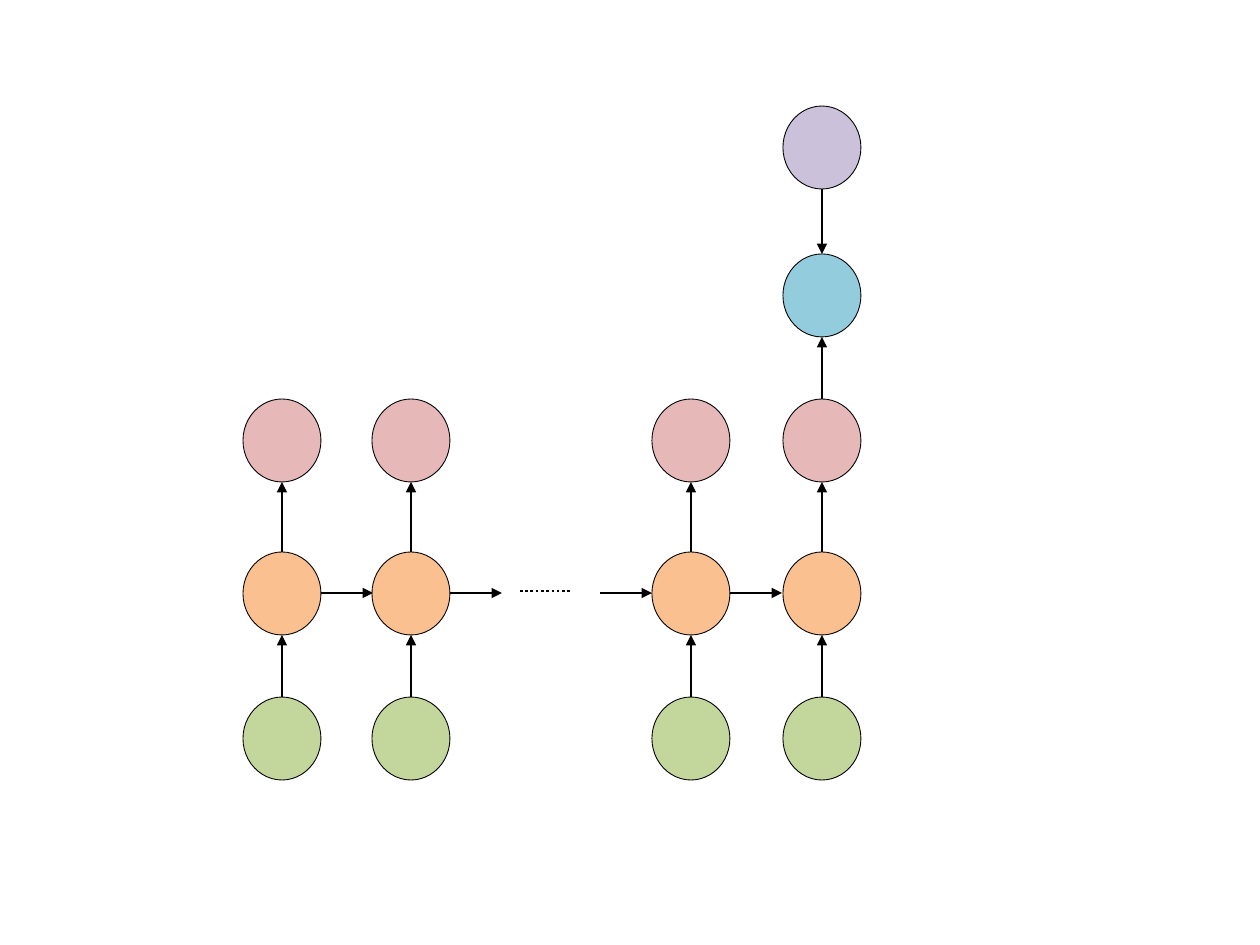
import pptx
import pptx.dml.color
import pptx.enum.dml
import pptx.enum.shapes
import pptx.oxml.ns
import pptx.util

SCALE = 914400 / 126
COLORS = {
    "line": "000000",
    "input": "C3D69B",
    "hidden": "FAC090",
    "output": "E6B9B8",
    "loss": "93CDDD",
    "target": "CCC1DA",
}
NODE_WIDTH, NODE_HEIGHT = 78, 83
COLUMNS = [243, 372, 652, 783]
ROWS = {"input": 697, "hidden": 552, "output": 399, "loss": 254, "target": 106}
ARROW_LENGTH = 52


def px(length):
    return pptx.util.Emu(round(length * SCALE))


def color(name):
    return pptx.dml.color.RGBColor.from_string(COLORS[name])


class Diagram:
    def __init__(self, page):
        self.page = page
        self.node_line = pptx.util.Pt(0.5)
        self.link_line = pptx.util.Pt(1.5)

    def node(self, left, row):
        ellipse = self.page.shapes.add_shape(
            pptx.enum.shapes.MSO_SHAPE.OVAL,
            px(left), px(ROWS[row]), px(NODE_WIDTH), px(NODE_HEIGHT))
        ellipse.shadow.inherit = False
        ellipse.fill.solid()
        ellipse.fill.fore_color.rgb = color(row)
        ellipse.line.color.rgb = color("line")
        ellipse.line.width = self.node_line

    def line(self, x1, y1, x2, y2):
        link = self.page.shapes.add_connector(
            pptx.enum.shapes.MSO_CONNECTOR.STRAIGHT, px(x1), px(y1), px(x2), px(y2))
        link.line.color.rgb = color("line")
        link.line.width = self.link_line
        properties = link._element.spPr
        properties.append(pptx.oxml.parse_xml(
            "<a:effectLst %s/>" % pptx.oxml.ns.nsdecls("a")))
        return link

    def arrow(self, x1, y1, x2, y2):
        link = self.line(x1, y1, x2, y2)
        link.line._get_or_add_ln().append(pptx.oxml.parse_xml(
            '<a:tailEnd %s type="triangle"/>' % pptx.oxml.ns.nsdecls("a")))

    def dots(self, x1, y1, x2, y2):
        link = self.line(x1, y1, x2, y2)
        link.line.dash_style = pptx.enum.dml.MSO_LINE.ROUND_DOT

    def arrow_up(self, left, lower, upper):
        center = left + NODE_WIDTH // 2
        self.arrow(center, ROWS[lower], center, ROWS[upper] + NODE_HEIGHT)

    def arrow_down(self, left, upper, lower):
        center = left + NODE_WIDTH // 2
        self.arrow(center, ROWS[upper] + NODE_HEIGHT, center, ROWS[lower])


def main():
    deck = pptx.Presentation()
    deck.slide_width, deck.slide_height = px(1260), px(945)
    diagram = Diagram(deck.slides.add_slide(deck.slide_layouts[6]))

    for left in COLUMNS:
        for row in ("input", "hidden", "output"):
            diagram.node(left, row)
        diagram.arrow_up(left, "input", "hidden")
        diagram.arrow_up(left, "hidden", "output")

    last = COLUMNS[-1]
    for row in ("loss", "target"):
        diagram.node(last, row)
    diagram.arrow_up(last, "output", "loss")
    diagram.arrow_down(last, "target", "loss")

    middle = ROWS["hidden"] + NODE_HEIGHT // 2
    starts = [left + NODE_WIDTH for left in COLUMNS[:-1]]
    starts.append(COLUMNS[2] - ARROW_LENGTH)
    for start in starts:
        diagram.arrow(start, middle, start + ARROW_LENGTH, middle)
    diagram.dots(520, middle - 2, 571, middle - 2)

    deck.save("out.pptx")


if __name__ == "__main__":
    main()
